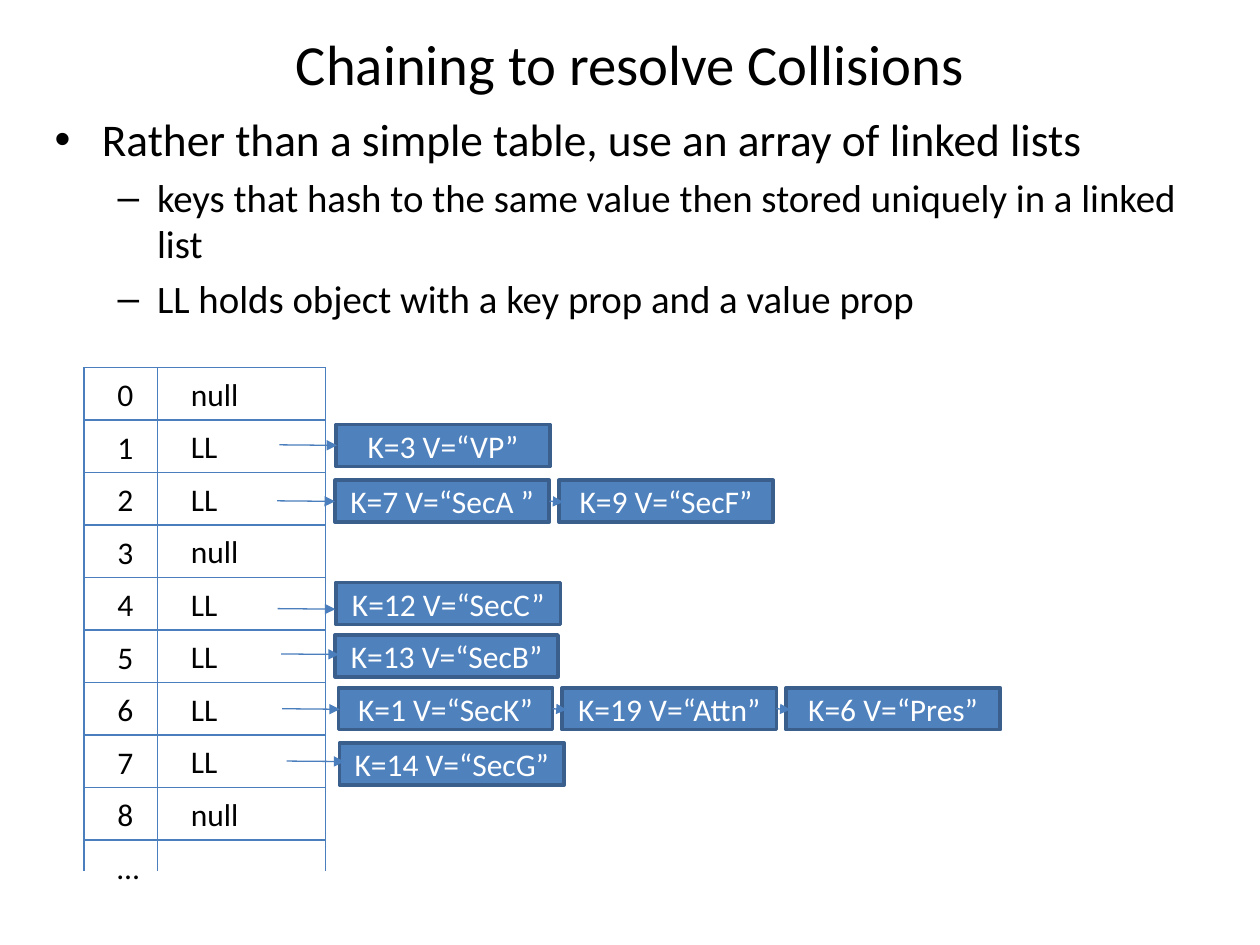
from dataclasses import dataclass

from lxml.etree import SubElement
from pptx import Presentation
from pptx.dml.color import RGBColor
from pptx.enum.shapes import MSO_CONNECTOR, MSO_SHAPE
from pptx.enum.text import MSO_ANCHOR, MSO_AUTO_SIZE, PP_ALIGN
from pptx.oxml.ns import qn
from pptx.util import Pt

BLACK = RGBColor(0x00, 0x00, 0x00)
WHITE = RGBColor(0xFF, 0xFF, 0xFF)
NODE_FILL = RGBColor(0x4F, 0x81, 0xBD)
NODE_LINE = RGBColor(0x3A, 0x5F, 0x8C)
LINE_BLUE = RGBColor(0x4B, 0x7E, 0xBC)
FONT = "Calibri"

ROW_HEIGHT = 30
NODE_HEIGHT = 24
NODE_GAP = 5.5
ENTRY_ARROW = 33
NEXT_ARROW = 8

BUCKETS = [
    ("0", "null"), ("1", "LL"), ("2", "LL"), ("3", "null"), ("4", "LL"),
    ("5", "LL"), ("6", "LL"), ("7", "LL"), ("8", "null"), ("…", ""),
]
BULLETS = [
    (0, 25.9, "Rather than a simple table, use an array of linked lists"),
    (1, 22.2, "keys that hash to the same value then stored uniquely in a linked list"),
    (1, 22.2, "LL holds object with a key prop and a value prop"),
]


@dataclass
class Chain:
    left: float
    top: float
    node_width: float
    arrow_left: float
    arrow_top: float
    entries: list


CHAINS = [
    Chain(192, 242.6, 122.4, 159.6, 254.2, ["K=3 V=“VP”"]),
    Chain(191.5, 274.4, 122.4, 158.4, 286.2, ["K=7 V=“SecA ”", "K=9 V=“SecF”"]),
    Chain(192, 332.8, 128.4, 158.6, 347.8, ["K=12 V=“SecC”"]),
    Chain(191.5, 362.8, 127.4, 160.6, 373.7, ["K=13 V=“SecB”"]),
    Chain(193.4, 393, 122.4, 161.2, 405, ["K=1 V=“SecK”", "K=19 V=“Attn”", "K=6 V=“Pres”"]),
    Chain(194, 424.6, 128.4, 163.8, 434.9, ["K=14 V=“SecG”"]),
]


def set_font(paragraph, size, color):
    paragraph.font.name = FONT
    paragraph.font.size = Pt(size)
    paragraph.font.color.rgb = color


def place(shape, left, top, width, height):
    shape.left, shape.top = Pt(left), Pt(top)
    shape.width, shape.height = Pt(width), Pt(height)


def add_line(slide, x1, y1, x2, y2, arrow=False):
    line = slide.shapes.add_connector(
        MSO_CONNECTOR.STRAIGHT, Pt(x1), Pt(y1), Pt(x2), Pt(y2))
    line.line.color.rgb = LINE_BLUE
    line.line.width = Pt(0.75)
    if arrow:
        SubElement(line.line._get_or_add_ln(), qn("a:tailEnd"), type="triangle")
    SubElement(line._element.spPr, qn("a:effectLst"))


def add_label(slide, text, left, top, width):
    label = slide.shapes.add_textbox(Pt(left), Pt(top), Pt(width), Pt(29))
    label.text_frame.word_wrap = False
    label.text_frame.text = text
    set_font(label.text_frame.paragraphs[0], 18, BLACK)


def add_node(slide, text, left, top, width):
    node = slide.shapes.add_shape(
        MSO_SHAPE.RECTANGLE, Pt(left), Pt(top), Pt(width), Pt(NODE_HEIGHT))
    node.shadow.inherit = False
    node.fill.solid()
    node.fill.fore_color.rgb = NODE_FILL
    node.line.color.rgb = NODE_LINE
    node.line.width = Pt(2)
    frame = node.text_frame
    frame.word_wrap = False
    frame.vertical_anchor = MSO_ANCHOR.MIDDLE
    frame.text = text
    frame.paragraphs[0].alignment = PP_ALIGN.CENTER
    set_font(frame.paragraphs[0], 18, WHITE)


def fill_title(slide, left, top, width, height):
    title = slide.shapes.title
    place(title, left, top, width, height)
    frame = title.text_frame
    frame.text = "Chaining to resolve Collisions"
    frame.auto_size = MSO_AUTO_SIZE.NONE
    frame.vertical_anchor = MSO_ANCHOR.MIDDLE
    frame.paragraphs[0].alignment = PP_ALIGN.CENTER
    set_font(frame.paragraphs[0], 32.4, BLACK)


def fill_bullets(slide, left, top, width, height):
    body = slide.placeholders[1]
    place(body, left, top, width, height)
    frame = body.text_frame
    frame.text = "\n".join(text for _, _, text in BULLETS)
    frame.auto_size = MSO_AUTO_SIZE.NONE
    for paragraph, (level, size, _) in zip(frame.paragraphs, BULLETS):
        paragraph.level = level
        set_font(paragraph, size, BLACK)


def add_buckets(slide, left, top, width, height):
    """Draw the array of buckets, open at the bottom, with its labels."""
    divider = left + 42
    right = left + width
    for x in (left, divider, right):
        add_line(slide, x, top, x, top + height)
    for row, (index, content) in enumerate(BUCKETS):
        y = top + row * ROW_HEIGHT
        add_line(slide, left, y, divider, y)
        add_line(slide, divider, y, right, y)
        add_label(slide, index, left + 12, y + 0.9, 24)
        if content:
            add_label(slide, content, divider + 12, y + 0.7, 42)


def add_chain(slide, chain):
    middle = chain.top + NODE_HEIGHT / 2
    step = chain.node_width + NODE_GAP
    for position, entry in enumerate(chain.entries):
        add_node(slide, entry, chain.left + position * step, chain.top, chain.node_width)
    add_line(slide, chain.arrow_left, chain.arrow_top,
             chain.arrow_left + ENTRY_ARROW, chain.arrow_top + 0.3, arrow=True)
    for position in range(len(chain.entries) - 1):
        x = chain.left + position * step + chain.node_width
        add_line(slide, x, middle, x + NEXT_ARROW, middle + 0.5, arrow=True)


def main():
    presentation = Presentation()
    presentation.slide_width, presentation.slide_height = Pt(720), Pt(540)
    slide = presentation.slides.add_slide(presentation.slide_layouts[1])
    fill_title(slide, 36, 12, 648, 48)
    fill_bullets(slide, 24, 60, 684, 102)
    add_buckets(slide, 48, 210, 138, 288)
    for chain in CHAINS:
        add_chain(slide, chain)
    presentation.save("out.pptx")


if __name__ == "__main__":
    main()
